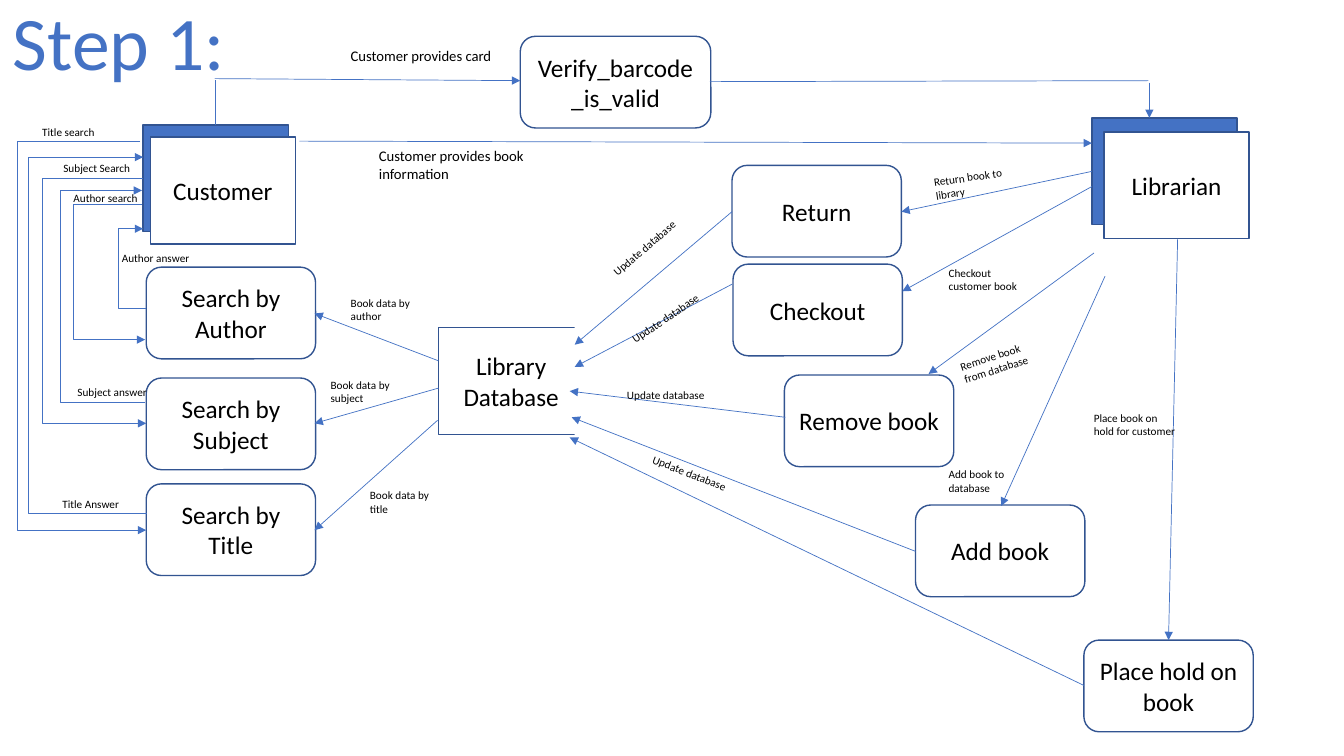
from typing import NamedTuple

from pptx import Presentation
from pptx import util as u
from pptx.dml import color
from pptx.enum import shapes, text
from pptx.oxml import ns, xmlchemy

FONT = "Calibri"
BLUE, OUTLINE, WHITE, BLACK = "4472C4", "325491", "FFFFFF", "000000"
STACK_W, STACK_H = 1.44, 1.06
PROCESS_W, PROCESS_H = 1.68, 0.91
RECT = shapes.MSO_SHAPE.RECTANGLE
ROUND = shapes.MSO_SHAPE.ROUNDED_RECTANGLE


class Node(NamedTuple):
    """A filled shape with centred lines of text."""
    left: float
    top: float
    lines: tuple = ()
    width: float = PROCESS_W
    height: float = PROCESS_H
    preset: int = ROUND
    fill: str = WHITE
    outline: str | None = OUTLINE


class Flow(NamedTuple):
    """A connector; via is the x of the vertical run of a bent one."""
    x1: float
    y1: float
    x2: float
    y2: float
    via: float | None = None
    arrow: bool = True


class Label(NamedTuple):
    """A caption beside a flow."""
    words: str
    left: float
    top: float
    width: float = 0.97
    height: float = 0.24
    turn: float = 0
    size: float = 8


def stack_node(left: float, top: float, *lines: str, fill: str = WHITE) -> Node:
    """Return a square-cornered node for an actor or the database."""
    return Node(left, top, lines, STACK_W, STACK_H, RECT, fill)


NODES = [
    stack_node(1.42, 1.24, fill=BLUE),
    stack_node(1.49, 1.36, "Customer"),
    stack_node(10.83, 1.17, fill=BLUE),
    stack_node(10.95, 1.31, "Librarian"),
    stack_node(4.35, 3.25, "Library", "Database"),
    # Covers the right side of the database, leaving it open
    Node(5.7, 3.16, (), 0.82, 1.27, RECT, outline=None),
    Node(7.27, 2.62, ("Checkout",)),
    Node(10.75, 6.35, ("Place hold on book",)),
    Node(9.08, 5.01, ("Add book",)),
    Node(7.78, 3.72, ("Remove book",)),
    Node(7.26, 1.64, ("Return",)),
    Node(1.45, 2.65, ("Search by Author",)),
    Node(1.45, 3.75, ("Search by Subject",)),
    Node(1.45, 4.8, ("Search by Title",)),
    Node(5.16, 0.36, ("Verify_barcode_is_valid",), 1.89),
]

FLOWS = [
    # Librarian to processes
    Flow(10.83, 1.7, 8.94, 2.1),
    Flow(10.83, 1.85, 8.95, 2.89),
    Flow(10.85, 2.51, 9.21, 3.71),
    Flow(10.96, 2.74, 9.93, 5.02),
    Flow(11.68, 2.37, 11.59, 6.35),
    # Processes to database
    Flow(7.26, 2.1, 5.7, 3.42),
    Flow(7.26, 2.82, 5.7, 3.64),
    Flow(7.79, 4.14, 5.65, 3.88),
    Flow(9.08, 5.47, 5.67, 4.14),
    Flow(10.75, 6.8, 5.65, 4.34),
    # Database to searches
    Flow(4.35, 3.58, 3.12, 3.11),
    Flow(4.35, 3.85, 3.12, 4.2),
    Flow(4.34, 4.17, 3.12, 5.26),
    # Customer to searches
    Flow(1.41, 2.03, 1.44, 3.37, via=0.73),
    Flow(1.42, 1.77, 1.45, 4.2, via=0.42),
    Flow(1.39, 1.4, 1.45, 5.26, via=0.17),
    # Searches to customer
    Flow(1.45, 3.06, 1.42, 2.27, via=1.17),
    Flow(1.44, 3.99, 1.41, 1.89, via=0.6),
    Flow(1.46, 5.09, 1.42, 1.56, via=0.29),
    # Customer to librarian, directly and through card check
    Flow(2.97, 1.4, 10.83, 1.42),
    Flow(2.14, 1.24, 2.14, 0.79, arrow=False),
    Flow(2.13, 0.78, 5.16, 0.8),
    Flow(7.04, 0.81, 11.39, 0.8, arrow=False),
    Flow(11.4, 0.82, 11.4, 1.17),
]

LABELS = [
    Label("Title search", 0.32, 1.19),
    Label("Author search", 0.63, 1.85),
    Label("Subject Search", 0.53, 1.55),
    Label("Author answer", 1.11, 2.44),
    Label("Subject answer", 0.67, 3.77),
    Label("Title Answer", 0.52, 4.88),
    Label("Book data by title", 3.57, 4.8, height=0.37),
    Label("Book data by subject", 3.18, 3.7, height=0.37),
    Label("Book data by author", 3.38, 2.89, height=0.37),
    Label("Checkout customer book", 9.31, 2.59, height=0.37),
    Label("Remove book from database", 9.43, 3.4, height=0.37, turn=341.9),
    Label("Add book to database", 9.31, 4.59, height=0.37),
    Label("Place book on hold for customer", 10.75, 4.03, 1.04, 0.37),
    Label("Return book to library", 9.17, 1.63, 1.04, 0.37, 351.4),
    *(Label("Update database", left, top, 1.04, turn=turn)
      for left, top, turn in ((5.9, 2.32, 319.5), (6.11, 3.02, 325.5),
                              (6.12, 3.8, 0), (6.35, 4.59, 21.2))),
    Label("Customer provides book information", 3.66, 1.41, 2.15, 0.45, size=10.5),
    Label("Customer provides card", 3.38, 0.42, 2.15, 0.28, size=10.5),
]


def rgb(code: str) -> color.RGBColor:
    """Turn a hex string into a colour."""
    return color.RGBColor.from_string(code)


def inches(*lengths: float) -> list:
    """Convert lengths to Inches."""
    return [u.Inches(length) for length in lengths]


def add_span(para, words: str, size: float, ink: str = BLACK) -> None:
    """Add one formatted run to a paragraph."""
    span = para.add_run()
    span.text = words
    span.font.name, span.font.size = FONT, u.Pt(size)
    span.font.color.rgb = rgb(ink)


def add_node(page, node: Node) -> None:
    """Draw a node and its text."""
    box = page.shapes.add_shape(
        node.preset, *inches(node.left, node.top, node.width, node.height))
    box.shadow.inherit = False
    box.fill.solid()
    box.fill.fore_color.rgb = rgb(node.fill)
    if node.outline:
        box.line.color.rgb, box.line.width = rgb(node.outline), u.Pt(1)
    else:
        box.line.fill.background()
    frame = box.text_frame
    frame.word_wrap, frame.vertical_anchor = True, text.MSO_ANCHOR.MIDDLE
    for number, words in enumerate(node.lines):
        para = frame.add_paragraph() if number else frame.paragraphs[0]
        para.alignment = text.PP_ALIGN.CENTER
        add_span(para, words, 18)


def add_child(parent, tag: str, **attributes: str) -> None:
    """Append an XML element with the given attributes."""
    child = xmlchemy.OxmlElement(tag)
    for name, value in attributes.items():
        child.set(name, value)
    parent.append(child)


def add_flow(page, flow: Flow) -> None:
    """Draw a straight or bent connector, with an arrowhead if wanted."""
    bent = flow.via is not None
    kind = shapes.MSO_CONNECTOR.ELBOW if bent else shapes.MSO_CONNECTOR.STRAIGHT
    link = page.shapes.add_connector(
        kind, *inches(flow.x1, flow.y1, flow.x2, flow.y2))
    link.line.color.rgb, link.line.width = rgb(BLUE), u.Pt(0.5)
    properties = link._element.spPr
    if bent:
        share = (flow.via - flow.x1) / (flow.x2 - flow.x1)
        add_child(properties.find(".//" + ns.qn("a:avLst")), "a:gd",
                  name="adj1", fmla=f"val {round(share * 100000)}")
    if flow.arrow:
        add_child(properties.find(ns.qn("a:ln")), "a:tailEnd", type="triangle")
    add_child(properties, "a:effectLst")


def add_label(page, label: Label) -> None:
    """Draw a caption."""
    box = page.shapes.add_textbox(
        *inches(label.left, label.top, label.width, label.height))
    box.rotation = label.turn
    frame = box.text_frame
    frame.word_wrap, frame.auto_size = True, text.MSO_AUTO_SIZE.SHAPE_TO_FIT_TEXT
    add_span(frame.paragraphs[0], label.words, label.size)


def set_title(page, words: str) -> None:
    """Place and fill the title."""
    title = page.shapes.title
    title.left, title.top, title.width, title.height = inches(-0.01, -0.1, 2.38, 1.01)
    frame = title.text_frame
    frame.word_wrap, frame.auto_size = True, text.MSO_AUTO_SIZE.NONE
    frame.vertical_anchor = text.MSO_ANCHOR.TOP
    para = frame.paragraphs[0]
    para.alignment = text.PP_ALIGN.CENTER
    add_span(para, words, 54, BLUE)


deck = Presentation()
deck.slide_width, deck.slide_height = inches(13.33, 7.5)
page = deck.slides.add_slide(deck.slide_layouts[5])
set_title(page, "Step 1:")
for draw, items in ((add_node, NODES), (add_flow, FLOWS), (add_label, LABELS)):
    for item in items:
        draw(page, item)
deck.save("out.pptx")
